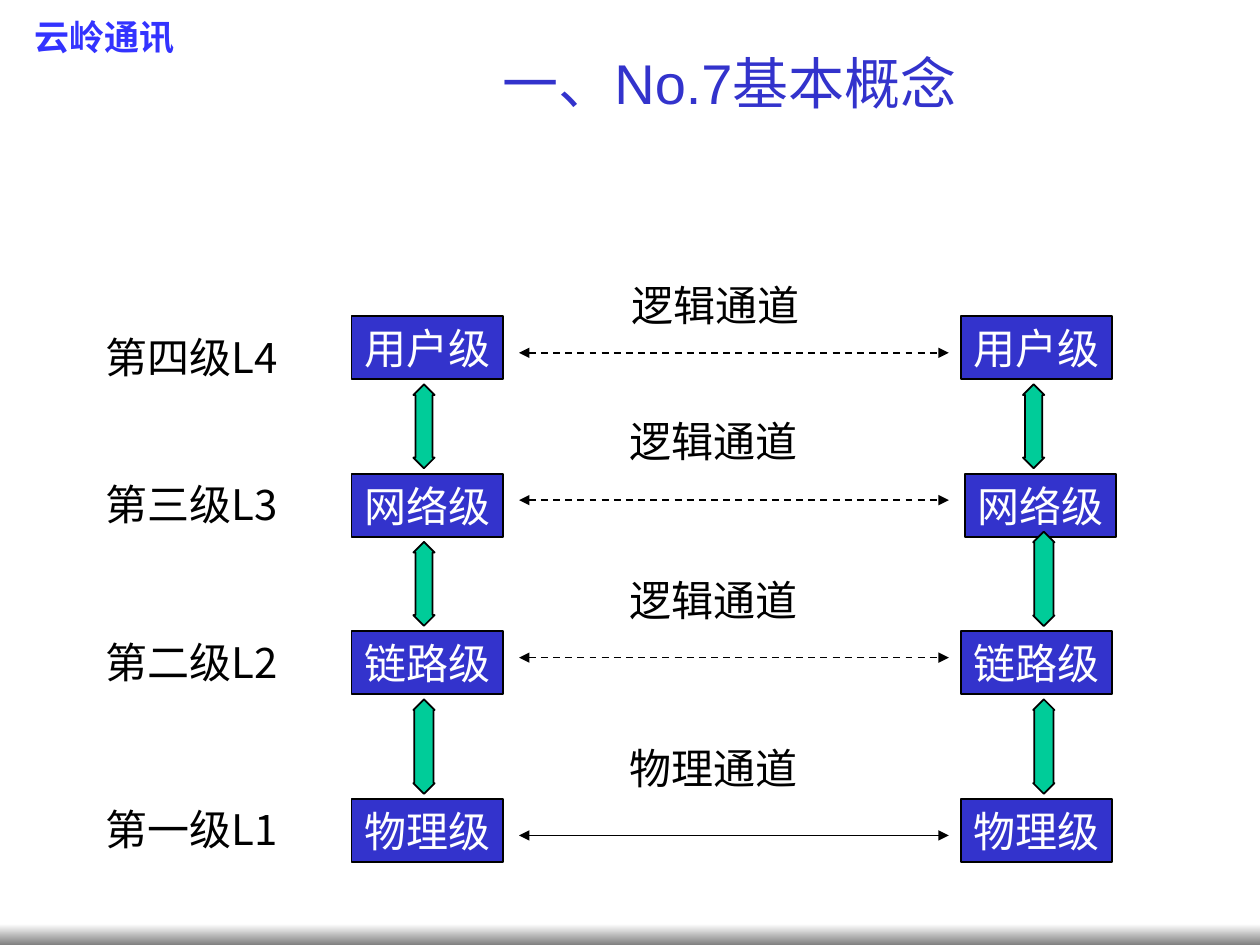
from lxml import etree
from pptx import Presentation
from pptx.dml.color import RGBColor
from pptx.enum import dml, shapes, text
from pptx.oxml import ns
from pptx.util import Pt

CJK = "Noto Sans CJK SC"


def color(value):
    return RGBColor.from_string(value)


def write(shape, words, size, hue, name=CJK, bold=None, wrap=False):
    frame = shape.text_frame
    frame.word_wrap = wrap
    frame.vertical_anchor = text.MSO_ANCHOR.MIDDLE
    para = frame.paragraphs[0]
    para.alignment = text.PP_ALIGN.CENTER
    para.add_run().text = words
    para.font.size = Pt(size)
    para.font.bold = bold
    para.font.color.rgb = color(hue)
    para.font.name = name
    defaults = para._p.pPr.find(ns.qn("a:defRPr"))
    etree.SubElement(defaults, ns.qn("a:ea"), typeface=CJK)
    return para


deck = Presentation()
deck.slide_width, deck.slide_height = Pt(720), Pt(540)
page = deck.slides.add_slide(deck.slide_layouts[6])

footer = page.shapes.add_shape(shapes.MSO_SHAPE.RECTANGLE, 0, Pt(528), Pt(720), Pt(12))
footer.shadow.inherit = False
footer.line.fill.background()
footer.fill.gradient()
footer.fill.gradient_angle = 270
for stop, hue in zip(footer.fill.gradient_stops, ["FFFFFF", "808080"]):
    stop.color.rgb = color(hue)

company = page.shapes.add_textbox(Pt(5.8), Pt(5), Pt(108), Pt(31.7))
para = write(company, "云岭通讯", 20, "3333FF", "Times New Roman", True, True)
effects = etree.Element(ns.qn("a:effectLst"))
shadow = etree.SubElement(effects, ns.qn("a:outerShdw"), dist="25400", dir="2700000")
etree.SubElement(shadow, ns.qn("a:srgbClr"), val="C0C0C0")
para._p.pPr.find(ns.qn("a:defRPr")).insert(1, effects)

levels = [
    ("用户级", "第四级L4", "逻辑通道", 180.7, 185.8, 201.6, 156.2, 691.2),
    ("网络级", "第三级L3", "逻辑通道", 270.7, 270, 285.8, 234, 690),
    ("链路级", "第二级L2", "逻辑通道", 360.7, 360, 375.8, 324.7, 690),
    ("物理级", "第一级L1", "物理通道", 456.5, 455.8, 477.4, 420.5, 690),
]
for layer, label, channel, top, label_top, line_y, channel_top, channel_mid in levels:
    for left in (200.9, 551.5 if layer == "网络级" else 549.2):
        box = page.shapes.add_shape(shapes.MSO_SHAPE.RECTANGLE, Pt(left), Pt(top), Pt(86.4), Pt(36))
        box.shadow.inherit = False
        box.fill.solid()
        box.fill.fore_color.rgb = color("3333CC")
        box.line.color.rgb = color("000000")
        box.line.width = Pt(1)
        write(box, layer, 24, "FFFFFF")

    captions = [
        (label, 50.4, label_top, 118),
        (channel, channel_mid - 337.2, channel_top, 110.2),
    ]
    for words, left, caption_top, width in captions:
        caption = page.shapes.add_textbox(Pt(left), Pt(caption_top), Pt(width), Pt(36))
        write(caption, words, 24, "000000")

    link = page.shapes.add_connector(
        shapes.MSO_CONNECTOR.STRAIGHT, Pt(296.6), Pt(line_y), Pt(542.2), Pt(line_y))
    link.line.color.rgb = color("000000")
    link.line.width = Pt(1)
    if channel == "逻辑通道":
        link.line.dash_style = dml.MSO_LINE.DASH
    for end in ("a:headEnd", "a:tailEnd"):
        etree.SubElement(link.line._get_or_add_ln(), ns.qn(end), type="triangle")
    etree.SubElement(link._element.spPr, ns.qn("a:effectLst"))

arrows = [
    (236.2, 219.6, 48), (236.2, 309.6, 48), (236.2, 399.6, 54),
    (584.6, 219.6, 48), (590.4, 303.8, 54), (590.4, 399.6, 54),
]
for left, top, height in arrows:
    arrow = page.shapes.add_shape(
        shapes.MSO_SHAPE.UP_DOWN_ARROW, Pt(left), Pt(top), Pt(12.2), Pt(height))
    arrow.shadow.inherit = False
    arrow.adjustments[0] = 0.5
    arrow.adjustments[1] = 0.8 if height == 48 else 0.9
    arrow.fill.solid()
    arrow.fill.fore_color.rgb = color("00CC99")
    arrow.line.color.rgb = color("000000")
    arrow.line.width = Pt(1)

title = page.shapes.add_textbox(Pt(144), Pt(23.8), Pt(545.8), Pt(46))
para = write(title, "一、No.7", 32, "3333CC", "Arial", wrap=True)
span = para.add_run()
span.text = "基本概念"
span.font.name = CJK

deck.save("out.pptx")
